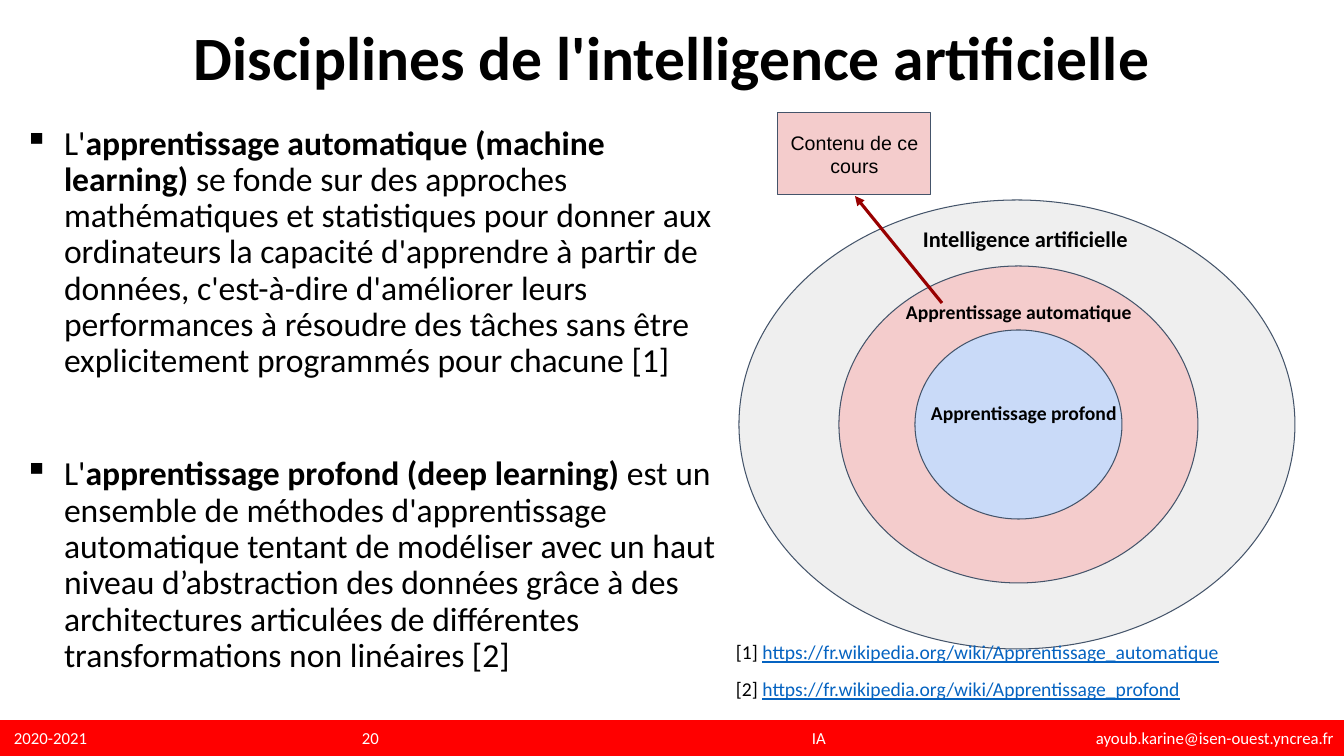
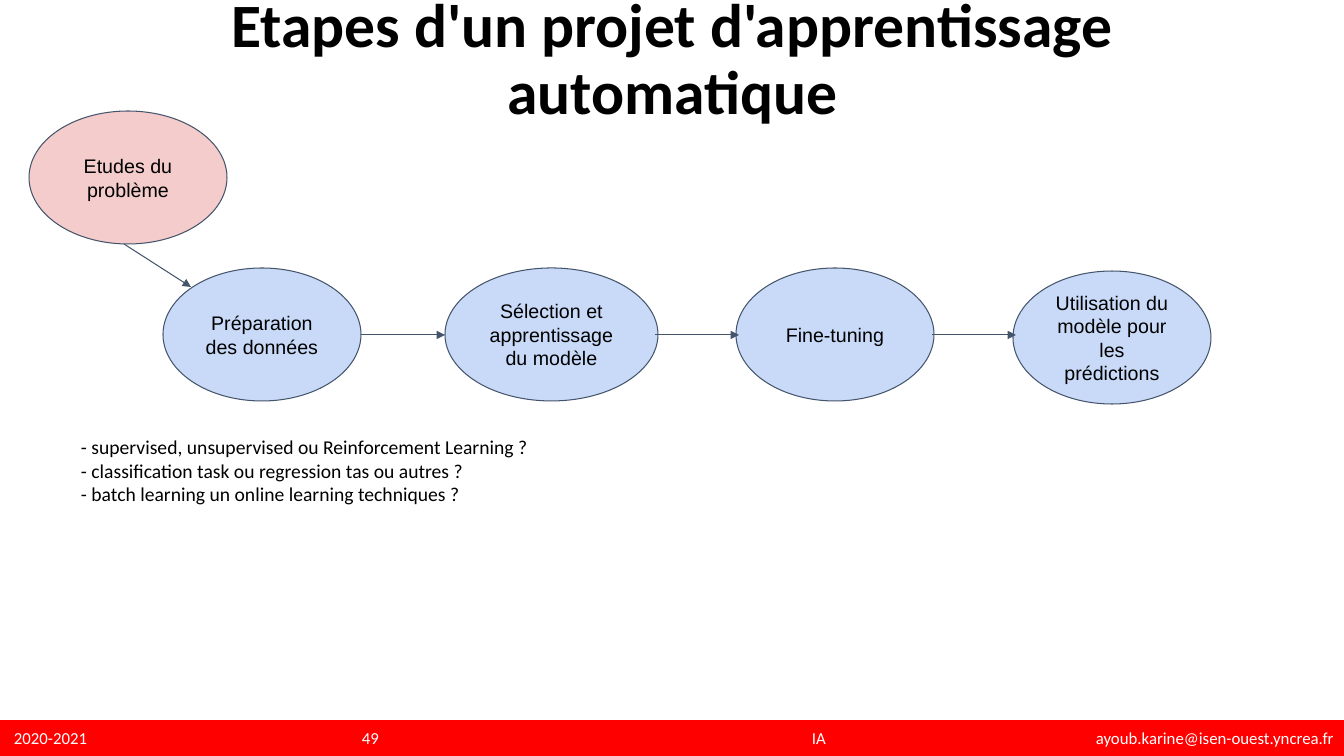
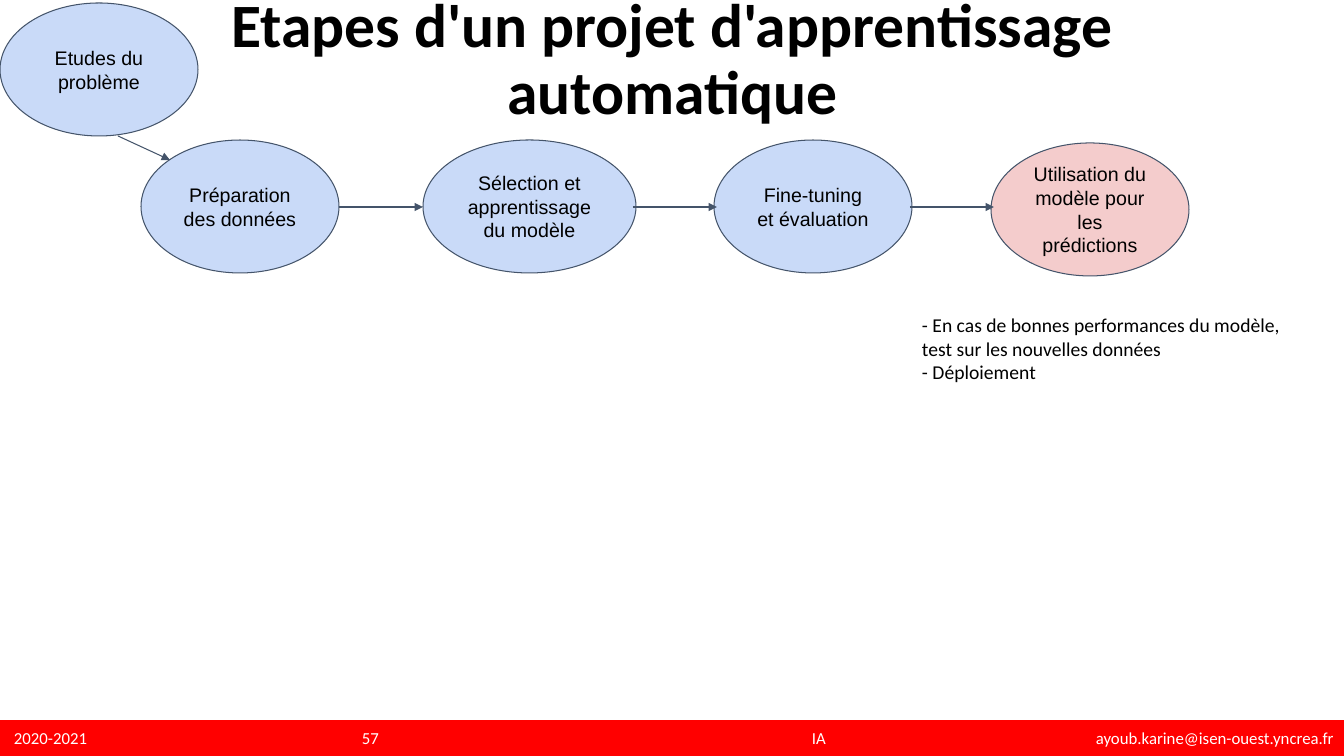
"""Build three course slides on artificial intelligence and machine learning."""
from lxml import etree
from pptx import Presentation
from pptx.dml.color import RGBColor
from pptx.enum.shapes import MSO_CONNECTOR, MSO_SHAPE
from pptx.enum.text import MSO_ANCHOR, PP_ALIGN
from pptx.oxml.ns import qn
from pptx.util import Pt

PX = 914400 / 100.8
W, H = 1344, 756
RECT, OVAL, STRAIGHT = MSO_SHAPE.RECTANGLE, MSO_SHAPE.OVAL, MSO_CONNECTOR.STRAIGHT
LEFT, CENTER, RIGHT = PP_ALIGN.LEFT, PP_ALIGN.CENTER, PP_ALIGN.RIGHT
TOP, MIDDLE = MSO_ANCHOR.TOP, MSO_ANCHOR.MIDDLE

BLACK = RGBColor(0x00, 0x00, 0x00)
WHITE = RGBColor(0xFF, 0xFF, 0xFF)
RED = RGBColor(0xFF, 0x00, 0x00)
DARK_RED = RGBColor(0x98, 0x00, 0x00)
SLATE = RGBColor(0x44, 0x54, 0x6A)
GREY = RGBColor(0xEF, 0xEF, 0xEF)
PINK = RGBColor(0xF4, 0xCC, 0xCC)
BLUE = RGBColor(0xC9, 0xDA, 0xF8)
LINK = RGBColor(0x05, 0x63, 0xC1)

FOOTER_Y, FOOTER_H = 720, 36
FOOTER = [("2020-2021", 4, 302, LEFT), ("IA", 802, 60, LEFT),
          ("ayoub.karine@isen-ouest.yncrea.fr", 1000, 344, RIGHT)]

DEFINITIONS = [
    ("apprentissage automatique (machine learning)",
     " se fonde sur des approches mathématiques et statistiques pour donner aux ordinateurs "
     "la capacité d'apprendre à partir de données, c'est-à-dire d'améliorer leurs performances "
     "à résoudre des tâches sans être explicitement programmés pour chacune [1]"),
    ("apprentissage profond (deep learning)",
     " est un ensemble de méthodes d'apprentissage automatique tentant de modéliser avec un haut "
     "niveau d’abstraction des données grâce à des architectures articulées de différentes "
     "transformations non linéaires [2]"),
]
RINGS = [((739, 200, 556, 449), GREY), ((839, 266, 359, 317), PINK), ((915, 330, 207, 189), BLUE)]
RING_LABELS = [("Intelligence artificielle", 913, 215, 16),
               ("Apprentissage automatique", 896, 290, 14),
               ("Apprentissage profond", 921, 391, 14)]
REFERENCES = ["https://fr.wikipedia.org/wiki/Apprentissage_automatique",
              "https://fr.wikipedia.org/wiki/Apprentissage_profond"]

STEPS_TITLE = "Etapes d'un projet d'apprentissage automatique"
STUDY = "Etudes du problème"
OVAL_W, OVAL_H = 198, 133
STEPS = [("Préparation des données", 0, 0, OVAL_W),
         ("Sélection et apprentissage du modèle", 282, 0, 213),
         ("Fine-tuning", 573, 0, OVAL_W),
         ("Utilisation du modèle pour les prédictions", 850, 3, OVAL_W)]
STEP_ARROWS, ARROW_W, ARROW_Y = (198, 492, 769), 84, 67
FLOWS = [
    {"number": "49", "origin": (163, 268), "study": (29, 111), "study_arrow": (124, 244, 191, 287),
     "current": STUDY, "renamed": {}, "box": (71, 425, 489, 126),
     "notes": ["- supervised, unsupervised ou Reinforcement Learning ?",
               "- classification task ou regression tas ou autres ?",
               "- batch learning un online learning techniques ?"]},
    {"number": "57", "origin": (141, 140), "study": (0, 3), "study_arrow": (118, 136, 170, 160),
     "current": STEPS[-1][0], "renamed": {"Fine-tuning": "Fine-tuning\net évaluation"},
     "box": (912, 303, 401, 66),
     "notes": ["- En cas de bonnes performances du modèle, test sur les nouvelles données",
               "- Déploiement"]},
]


def emu(*lengths):
    return [round(n * PX) for n in lengths]


def style(font, size, color=BLACK, name="Calibri", bold=False):
    font.size, font.name, font.bold = Pt(size), name, bold
    font.color.rgb = color


def set_margins(tf, pad, anchor):
    tf.word_wrap = True
    tf.vertical_anchor = anchor
    tf.margin_left, tf.margin_right, tf.margin_top, tf.margin_bottom = emu(10, 10, pad, pad)


def add_text(s, box, lines, size, color=BLACK, bold=False, align=LEFT, anchor=TOP, pad=10,
             spacing=1.0):
    tf = s.shapes.add_textbox(*emu(*box)).text_frame
    set_margins(tf, pad, anchor)
    tf.text = "\n".join(lines)
    for p in tf.paragraphs:
        p.alignment, p.line_spacing = align, spacing
        for r in p.runs:
            style(r.font, size, color, bold=bold)
    return tf


def add_figure(s, kind, box, fill, text="", line=SLATE):
    sp = s.shapes.add_shape(kind, *emu(*box))
    sp.shadow.inherit = False
    sp.fill.solid()
    sp.fill.fore_color.rgb = fill
    if line is None:
        sp.line.fill.background()
    else:
        sp.line.color.rgb, sp.line.width = line, Pt(0.75)
    if text:
        tf = sp.text_frame
        set_margins(tf, 10, MIDDLE)
        tf.text = text
        for p in tf.paragraphs:
            p.alignment = CENTER
            for r in p.runs:
                style(r.font, 14, name="Arial")


def add_arrow(s, ends, color=SLATE, width=0.75):
    c = s.shapes.add_connector(STRAIGHT, *emu(*ends))
    c.line.color.rgb, c.line.width = color, Pt(width)
    etree.SubElement(c.line._get_or_add_ln(), qn("a:tailEnd"), type="triangle")
    etree.SubElement(c._element.spPr, qn("a:effectLst"))


def add_slide(prs, title, number):
    s = prs.slides.add_slide(prs.slide_layouts[6])
    add_figure(s, RECT, (0, FOOTER_Y, W, FOOTER_H), RED, line=None)
    for text, x, w, align in FOOTER + [(number, 327, 62, RIGHT)]:
        add_text(s, (x, FOOTER_Y, w, FOOTER_H), [text], 12, WHITE, align=align, anchor=MIDDLE, pad=5)
    add_text(s, (93, 11, 1159, 100), [title], 44, bold=True, align=CENTER, anchor=MIDDLE, pad=5,
             spacing=0.9)
    return s


def add_definitions(s):
    tf = s.shapes.add_textbox(*emu(4, 121, 722, 560)).text_frame
    set_margins(tf, 5, TOP)
    for i, (term, meaning) in enumerate(DEFINITIONS):
        p = tf.add_paragraph() if i else tf.paragraphs[0]
        p.line_spacing = 0.9
        if i:
            p.space_before = Pt(55)
        pPr = p._p.get_or_add_pPr()
        indent, hanging = emu(50, -40)
        pPr.set("marL", str(indent))
        pPr.set("indent", str(hanging))
        etree.SubElement(pPr, qn("a:buChar"), char="▪")
        for text, bold in (("L'", False), (term, True), (meaning, False)):
            r = p.add_run()
            r.text = text
            style(r.font, 24, bold=bold)


def add_references(s):
    marks = [f"[{i}] " for i in range(1, len(REFERENCES) + 1)]
    tf = add_text(s, (726, 633, 556, 78), marks, 14, spacing=0.9)
    for i, (p, url) in enumerate(zip(tf.paragraphs, REFERENCES)):
        if i:
            p.space_before = Pt(11)
        r = p.add_run()
        r.text = url
        style(r.font, 14, LINK)
        r.font.underline = True


def build_disciplines(prs):
    s = add_slide(prs, "Disciplines de l'intelligence artificielle", "20")
    add_definitions(s)
    for box, fill in RINGS:
        add_figure(s, OVAL, box, fill)
    for text, x, y, size in RING_LABELS:
        add_text(s, (x, y, 310, 41), [text], size, bold=True)
    add_references(s)
    add_figure(s, RECT, (778, 113, 153, 82), PINK, "Contenu de ce cours")
    add_arrow(s, (942, 303, 855, 196), DARK_RED, 2.25)


def build_flow(prs, flow):
    s = add_slide(prs, STEPS_TITLE, flow["number"])
    x0, y0 = flow["origin"]
    ovals = [(STUDY, *flow["study"], OVAL_W)]
    ovals += [(name, x0 + dx, y0 + dy, w) for name, dx, dy, w in STEPS]
    for name, x, y, w in ovals:
        fill = PINK if name == flow["current"] else BLUE
        add_figure(s, OVAL, (x, y, w, OVAL_H), fill, flow["renamed"].get(name, name))
    add_arrow(s, flow["study_arrow"])
    for dx in STEP_ARROWS:
        add_arrow(s, (x0 + dx, y0 + ARROW_Y, x0 + dx + ARROW_W, y0 + ARROW_Y))
    add_text(s, flow["box"], flow["notes"], 14)


def main():
    prs = Presentation()
    prs.slide_width, prs.slide_height = emu(W, H)
    build_disciplines(prs)
    for flow in FLOWS:
        build_flow(prs, flow)
    prs.save("out.pptx")


if __name__ == "__main__":
    main()
